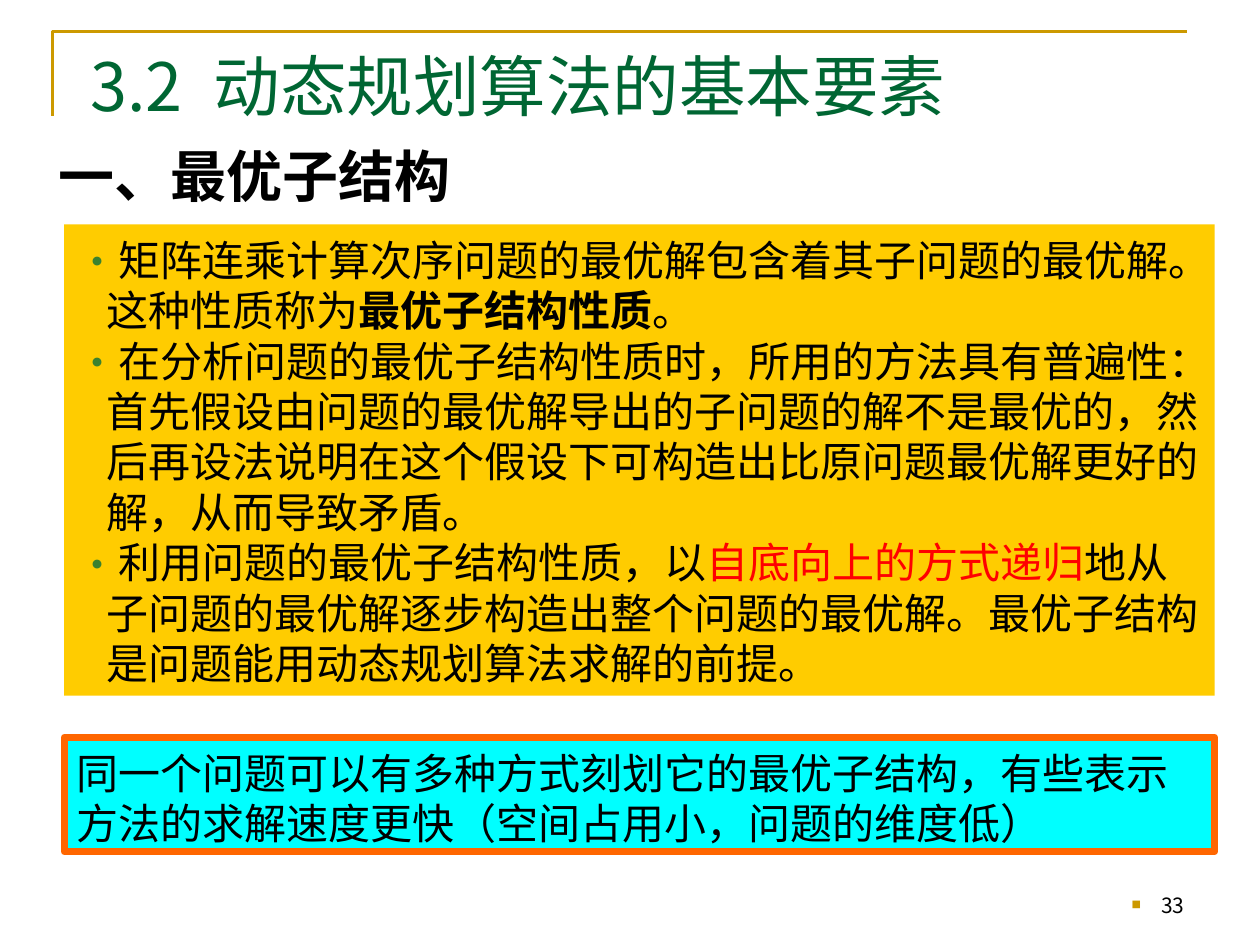
from lxml.etree import SubElement
from pptx import Presentation
from pptx.dml.color import RGBColor
from pptx.enum.shapes import MSO_SHAPE
from pptx.enum.text import MSO_ANCHOR, PP_ALIGN
from pptx.oxml.ns import qn
from pptx.util import Pt

FONT = "Noto Sans CJK SC"
HEX = {
    "ink": "000000", "title": "006633", "gold": "CC9900", "panel": "FFCC00",
    "dot": "3B812F", "red": "FF0000", "cyan": "00FFFF", "edge": "FF6600",
}


def color(name):
    return RGBColor.from_string(HEX[name])


def write(par, text, size=24, ink="ink", bold=False, gap=0, bullet=None):
    """Add a run; bullet is (sign, colour, percent, indent)."""
    run = par.add_run()
    run.text = text
    font = run.font
    font.name, font.size, font.bold = FONT, Pt(size), bold
    font.color.rgb = color(ink)
    props = run._r.get_or_add_rPr()
    SubElement(props, qn("a:ea"), typeface=FONT)
    if gap:
        props.set("spc", str(gap * 100))
    par.line_spacing = Pt(size * 1.2)
    if bullet:
        sign, tint, scale, indent = bullet
        form = par._p.get_or_add_pPr()
        form.set("marL", str(Pt(indent)))
        form.set("indent", str(-Pt(indent)))
        fill = SubElement(form, qn("a:buClr"))
        SubElement(fill, qn("a:srgbClr"), val=HEX[tint])
        SubElement(form, qn("a:buSzPct"), val=str(scale * 1000))
        SubElement(form, qn("a:buFont"), typeface=FONT)
        SubElement(form, qn("a:buChar"), char=sign)


deck = Presentation()
deck.slide_width, deck.slide_height = Pt(720), Pt(540)
slide = deck.slides.add_slide(deck.slide_layouts[6])
shapes = slide.shapes

# Corner rule
pen = shapes.build_freeform(Pt(30.2), Pt(66.2))
pen.add_line_segments([(Pt(30.2), Pt(18)), (Pt(678.2), Pt(18))], close=False)
rule = pen.convert_to_shape()
rule.shadow.inherit = False
rule.fill.background()
rule.line.color.rgb = color("gold")
rule.line.width = Pt(1.5)

# Slide number
frame = shapes.add_textbox(Pt(516.2), Pt(491.8), Pt(167.8), Pt(36)).text_frame
frame.word_wrap = True
frame.vertical_anchor = MSO_ANCHOR.BOTTOM
par = frame.paragraphs[0]
par.alignment = PP_ALIGN.RIGHT
write(par, "33", size=12, bullet=("■", "gold", 45, 17))

# Title
frame = shapes.add_textbox(Pt(44.6), Pt(8.6), Pt(555.8), Pt(62.6)).text_frame
frame.word_wrap = True
frame.vertical_anchor = MSO_ANCHOR.BOTTOM
frame.margin_bottom = 0
par = frame.paragraphs[0]
write(par, "3.2", size=38, ink="title")
write(par, " ", size=38, ink="title", gap=9)
write(par, "动态规划算法的基本要素", size=38, ink="title")

# Heading
frame = shapes.add_textbox(Pt(25.9), Pt(74.2), Pt(239), Pt(45.4)).text_frame
frame.word_wrap = False
frame.margin_top = Pt(6.4)
par = frame.paragraphs[0]
par.alignment = PP_ALIGN.CENTER
write(par, "一、最优子结构", size=32, bold=True)

# Panels: top, height, fill, edge, bullet, paragraphs of (text, format)
DOT = ("•", "dot", 100, 17)
panels = [
    (128.2, 269.3, "panel", None, DOT, [
        [("矩阵连乘计算次序问题的最优解包含着其子问题的最优解。这种性质称为", {}),
         ("最优子结构性质", {"bold": True}),
         ("。", {})],
        [("在分析问题的最优子结构性质时，所用的方法具有普遍性：首先假设由问题的"
          "最优解导出的子问题的解不是最优的，然后再设法说明在这个假设下可构造出比"
          "原问题最优解更好的解，从而导致矛盾。", {})],
        [("利用问题的最优子结构性质，以", {}),
         ("自底向上的方式递归", {"ink": "red"}),
         ("地从子问题的最优解逐步构造出整个问题的最优解。最优子结构是问题能用"
          "动态规划算法求解的前提。", {})],
    ]),
    (421.2, 65.5, "cyan", "edge", None, [
        [("同一个问题可以有多种方式刻划它的最优子结构，有些表示方法的求解速度"
          "更快（空间占用小，问题的维度低）", {})],
    ]),
]
for top, height, fill, edge, bullet, pars in panels:
    box = shapes.add_shape(MSO_SHAPE.RECTANGLE, Pt(36.7), Pt(top), Pt(657.4), Pt(height))
    box.shadow.inherit = False
    box.fill.solid()
    box.fill.fore_color.rgb = color(fill)
    if edge:
        box.line.color.rgb = color(edge)
        box.line.width = Pt(4)
    else:
        box.line.fill.background()
    frame = box.text_frame
    frame.word_wrap = True
    frame.vertical_anchor = MSO_ANCHOR.TOP
    frame.margin_top = Pt(5.7)
    for i, parts in enumerate(pars):
        par = frame.add_paragraph() if i else frame.paragraphs[0]
        par.alignment = PP_ALIGN.LEFT
        for j, (text, form) in enumerate(parts):
            write(par, text, bullet=None if j else bullet, **form)

deck.save("out.pptx")
